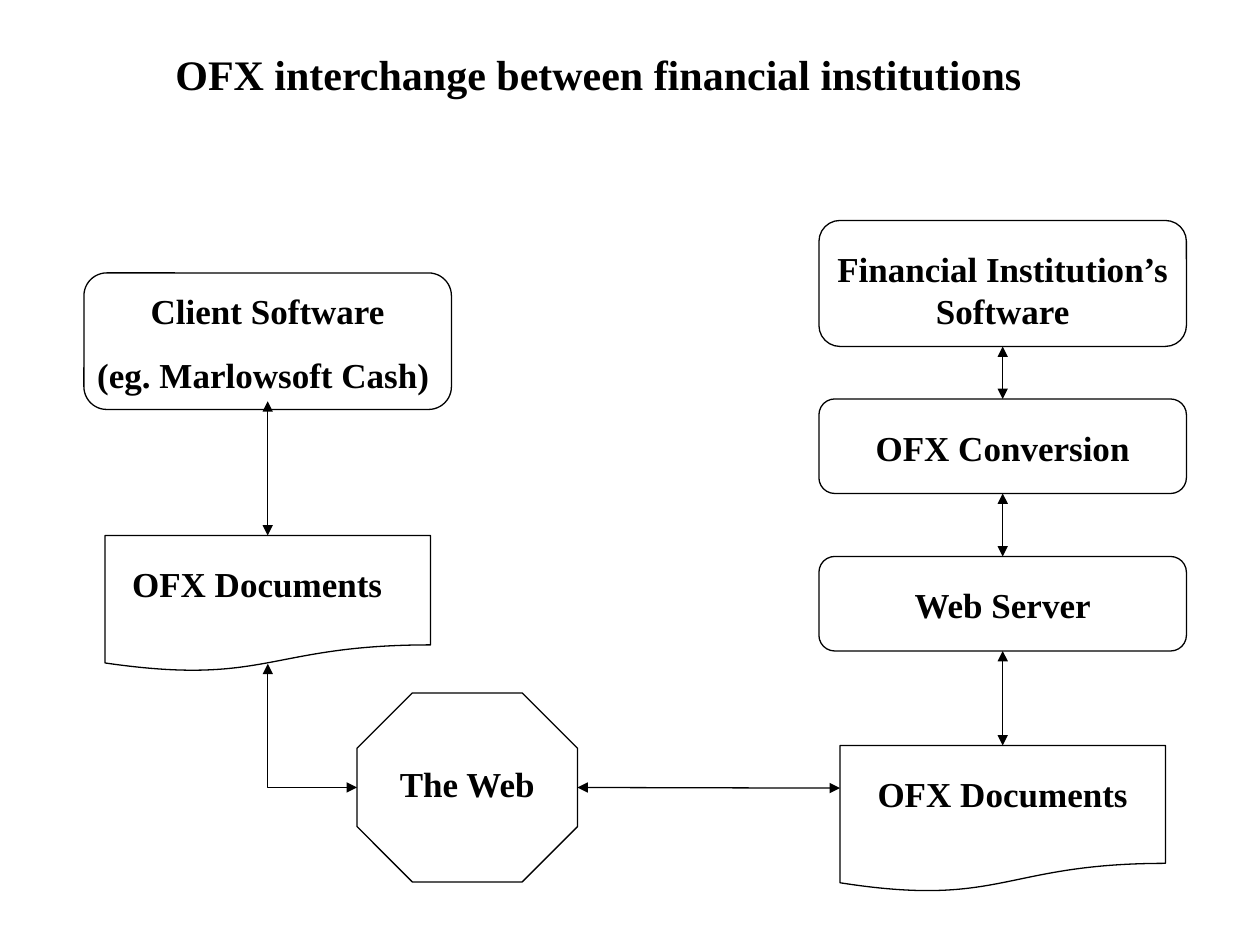
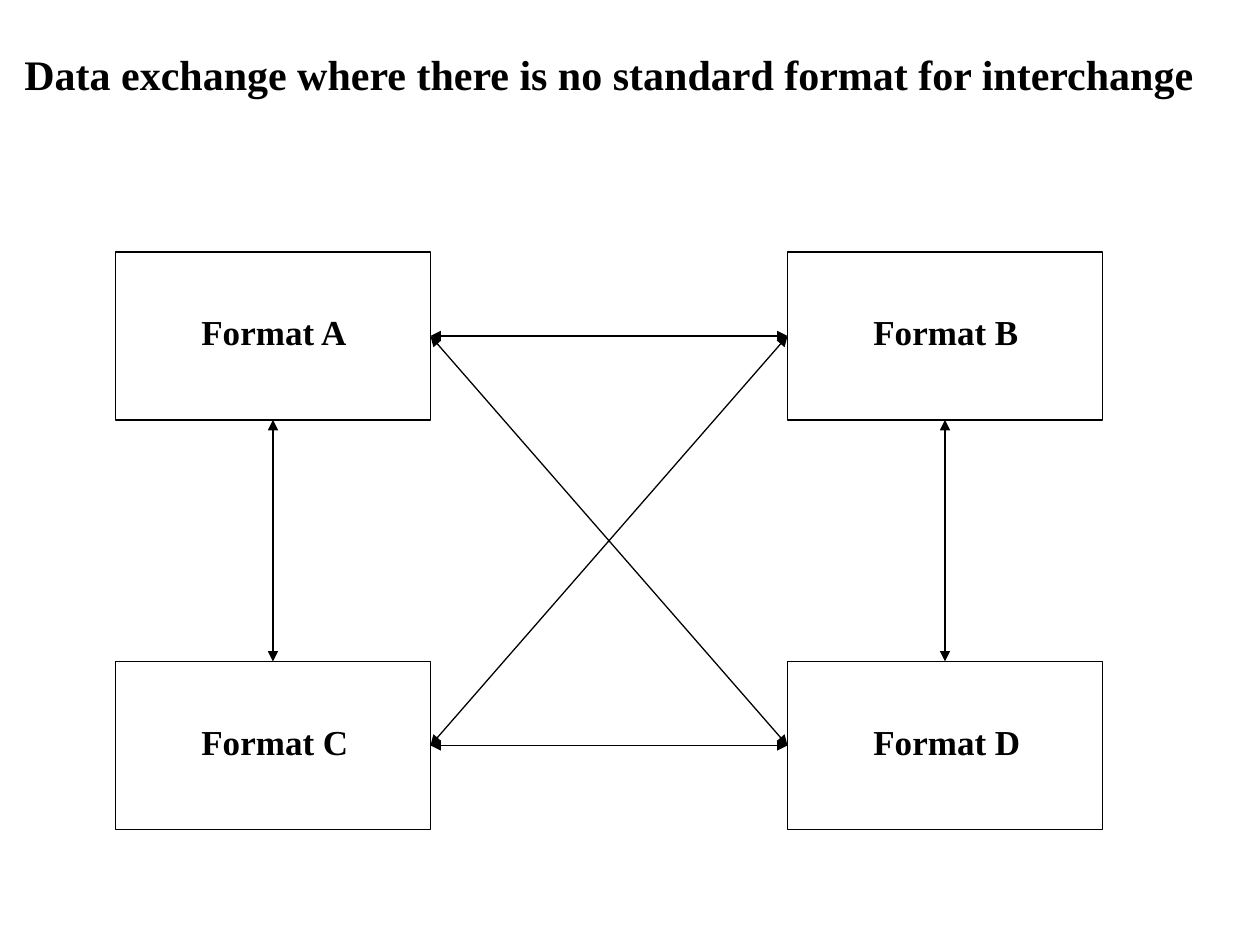
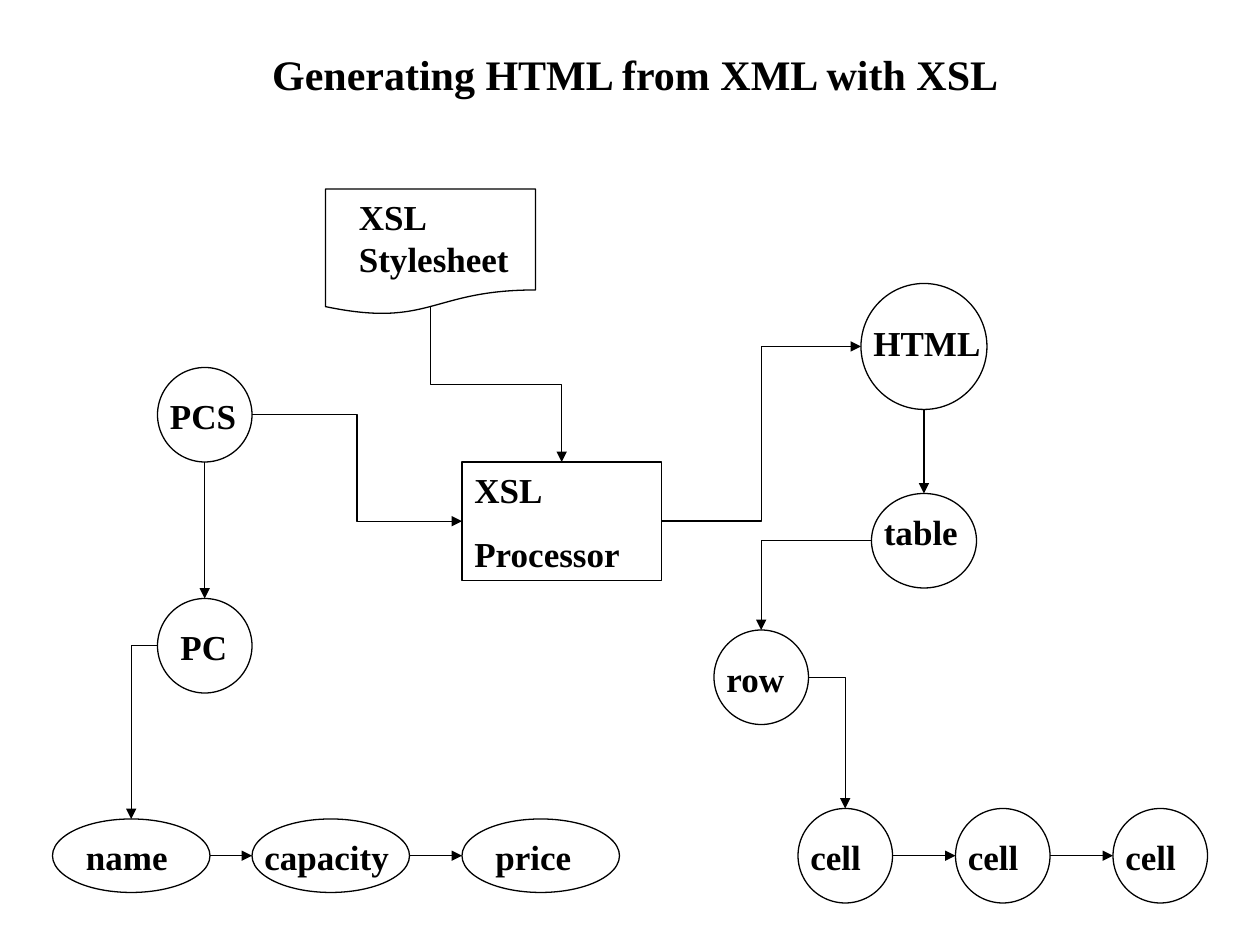
"""Builds three diagram slides on data interchange, laid out on a grid of 120 columns by 90 rows."""
import itertools
from typing import NamedTuple, Optional

import lxml.etree
import pptx
import pptx.dml.color
import pptx.enum.shapes
import pptx.enum.text
import pptx.oxml.ns
import pptx.presentation
import pptx.shapes.connector
import pptx.slide
import pptx.text.text
import pptx.util

qn = pptx.oxml.ns.qn
SHAPES = pptx.enum.shapes.MSO_SHAPE
CONNECTORS = pptx.enum.shapes.MSO_CONNECTOR
ALIGN = pptx.enum.text.PP_ALIGN

BLACK = pptx.dml.color.RGBColor(0x00, 0x00, 0x00)
WHITE = pptx.dml.color.RGBColor(0xFF, 0xFF, 0xFF)
FONT = "Times New Roman"
TITLE_SIZE = 24
LABEL_SIZE = 20
LINE_WIDTH = pptx.util.Pt(0.75)
SLIDE_WIDTH = pptx.util.Inches(10)
SLIDE_HEIGHT = pptx.util.Inches(7.5)
CELL = SLIDE_WIDTH / 120
TITLE_ROW, TITLE_ROWS = 4, 6
ONE_LINE, TWO_LINES, TWO_PARAGRAPHS = 5.28, 9.24, 11.28

Point = tuple[float, float]
TOP: Point = (0.5, 0)
BOTTOM: Point = (0.5, 1)
LEFT: Point = (0, 0.5)
RIGHT: Point = (1, 0.5)
INSET_BOTTOM: Point = (0.5, 0.94)
UPPER_LEFT_SIDE: Point = (0, 0.29)


class Frame(NamedTuple):
    column: float
    row: float
    columns: float
    rows: float = ONE_LINE

    def point(self, share: Point) -> Point:
        return self.column + self.columns * share[0], self.row + self.rows * share[1]

    def lengths(self) -> list[pptx.util.Emu]:
        return [grid(value) for value in self]


class Node(NamedTuple):
    shape: SHAPES
    frame: Frame
    text: str
    label: Optional[Frame] = None


class Link(NamedTuple):
    start: str
    start_side: Point
    end: str
    end_side: Point
    route: str = "line"


def grid(cells: float) -> pptx.util.Emu:
    return pptx.util.Emu(round(cells * CELL))


def write_text(text_frame: pptx.text.text.TextFrame, text: str, size: float, alignment: ALIGN) -> None:
    text_frame.text = text
    text_frame.word_wrap = True
    text_frame.auto_size = pptx.enum.text.MSO_AUTO_SIZE.SHAPE_TO_FIT_TEXT
    text_frame.vertical_anchor = pptx.enum.text.MSO_ANCHOR.TOP
    for paragraph in text_frame.paragraphs:
        paragraph.alignment = alignment
        paragraph.space_before = pptx.util.Pt(size * 0.625)
        paragraph.font.name = FONT
        paragraph.font.size = pptx.util.Pt(size)
        paragraph.font.bold = True
        paragraph.font.color.rgb = BLACK


def add_titled_slide(
    presentation: pptx.presentation.Presentation, title: str, column: float, columns: float
) -> pptx.slide.Slide:
    slide = presentation.slides.add_slide(presentation.slide_layouts.get_by_name("Title Only"))
    placeholder = slide.shapes.title
    frame = Frame(column, TITLE_ROW, columns, TITLE_ROWS)
    placeholder.left, placeholder.top, placeholder.width, placeholder.height = frame.lengths()
    write_text(placeholder.text_frame, title, TITLE_SIZE, ALIGN.CENTER)
    return slide


def draw_node(slide: pptx.slide.Slide, node: Node, alignment: ALIGN) -> None:
    shape = slide.shapes.add_shape(node.shape, *node.frame.lengths())
    shape.shadow.inherit = False
    shape.fill.solid()
    shape.fill.fore_color.rgb = WHITE
    shape.line.color.rgb = BLACK
    shape.line.width = LINE_WIDTH
    holder = slide.shapes.add_textbox(*node.label.lengths()) if node.label else shape
    write_text(holder.text_frame, node.text, LABEL_SIZE, alignment)


def style_connector(connector: pptx.shapes.connector.Connector, both_ends: bool) -> None:
    connector.line.color.rgb = BLACK
    connector.line.width = LINE_WIDTH
    properties = connector.element.spPr
    line = properties.find(qn("a:ln"))
    for tag in ("a:headEnd", "a:tailEnd") if both_ends else ("a:tailEnd",):
        lxml.etree.SubElement(line, qn(tag), type="triangle")
    lxml.etree.SubElement(properties, qn("a:effectLst"))


def draw_link(slide: pptx.slide.Slide, link: Link, nodes: dict[str, Node], both_ends: bool) -> None:
    start_x, start_y = nodes[link.start].frame.point(link.start_side)
    end_x, end_y = nodes[link.end].frame.point(link.end_side)
    if link.route == "vertical":
        middle_x, middle_y = (start_x + end_x) / 2, (start_y + end_y) / 2
        half_width, half_height = (end_y - start_y) / 2, (end_x - start_x) / 2
        start_x, end_x = middle_x + half_width, middle_x - half_width
        start_y, end_y = middle_y - half_height, middle_y + half_height
    kind = CONNECTORS.STRAIGHT if link.route == "line" else CONNECTORS.ELBOW
    connector = slide.shapes.add_connector(kind, *map(grid, (start_x, start_y, end_x, end_y)))
    properties = connector.element.spPr
    if link.route == "vertical":
        properties.find(qn("a:xfrm")).set("rot", str(270 * 60000))
    elif link.route == "corner":
        properties.find(qn("a:prstGeom")).set("prst", "bentConnector2")
    style_connector(connector, both_ends)


def draw_diagram(
    slide: pptx.slide.Slide, nodes: dict[str, Node], links: list[Link], alignment: ALIGN, both_ends: bool
) -> None:
    for node in nodes.values():
        draw_node(slide, node, alignment)
    for link in links:
        draw_link(slide, link, nodes, both_ends)


def add_ofx_slide(presentation: pptx.presentation.Presentation) -> None:
    slide = add_titled_slide(presentation, "OFX interchange between financial institutions", 4, 106)
    rounded, document = SHAPES.ROUNDED_RECTANGLE, SHAPES.FLOWCHART_DOCUMENT
    nodes = {
        "client": Node(rounded, Frame(8, 26, 35, 13), "Client Software\n(eg. Marlowsoft Cash) ",
                       Frame(5, 27, 41, TWO_PARAGRAPHS)),
        "client documents": Node(document, Frame(10, 51, 31, 13), "OFX Documents", Frame(4, 53, 41)),
        "web": Node(SHAPES.OCTAGON, Frame(34, 66, 21, 18), "The Web", Frame(24, 72, 41)),
        "institution": Node(rounded, Frame(78, 21, 35, 12), "Financial Institution’s Software",
                            Frame(75, 23, 41, TWO_LINES)),
        "conversion": Node(rounded, Frame(78, 38, 35, 9), "OFX Conversion", Frame(75, 40, 41)),
        "server": Node(rounded, Frame(78, 53, 35, 9), "Web Server", Frame(75, 55, 41)),
        "server documents": Node(document, Frame(80, 71, 31, 14), "OFX Documents", Frame(75, 73, 41)),
    }
    stack = ["institution", "conversion", "server", "server documents"]
    links = [Link(upper, BOTTOM, lower, TOP) for upper, lower in itertools.pairwise(stack)]
    links += [
        Link("client", INSET_BOTTOM, "client documents", TOP),
        Link("web", RIGHT, "server documents", UPPER_LEFT_SIDE),
        Link("web", LEFT, "client documents", INSET_BOTTOM, "corner"),
    ]
    draw_diagram(slide, nodes, links, ALIGN.CENTER, both_ends=True)


def add_formats_slide(presentation: pptx.presentation.Presentation) -> None:
    title = "Data exchange where there is no standard format for interchange "
    slide = add_titled_slide(presentation, title, 0, 117)
    corners = itertools.product((24, 63), (11, 75))
    nodes = {
        letter: Node(SHAPES.RECTANGLE, Frame(column, row, 30, 16), f"Format {letter}",
                     Frame(column + 7, row + 5, 17))
        for letter, (row, column) in zip("ABCD", corners)
    }
    links = [Link(upper, BOTTOM, lower, TOP) for upper, lower in ("AC", "BD")]
    links += [Link(left, RIGHT, right, LEFT) for left, right in itertools.product("AC", "BD")]
    draw_diagram(slide, nodes, links, ALIGN.LEFT, both_ends=True)


def add_xsl_slide(presentation: pptx.presentation.Presentation) -> None:
    slide = add_titled_slide(presentation, "Generating HTML from XML with XSL", 4, 113)
    oval = SHAPES.OVAL
    nodes = {
        "PCS": Node(oval, Frame(15, 35, 9, 9), "PCS", Frame(15, 37, 9)),
        "PC": Node(oval, Frame(15, 57, 9, 9), "PC", Frame(16, 59, 10)),
        "HTML": Node(oval, Frame(82, 27, 12, 12), "HTML", Frame(82, 30, 13)),
        "table": Node(oval, Frame(83, 47, 10, 9), "table", Frame(83, 48, 12)),
        "row": Node(oval, Frame(68, 60, 9, 9), "row", Frame(68, 62, 9)),
        "name": Node(oval, Frame(5, 78, 15, 7), "name", Frame(7, 79, 12)),
        "capacity": Node(oval, Frame(24, 78, 15, 7), "capacity", Frame(24, 79, 15)),
        "price": Node(oval, Frame(44, 78, 15, 7), "price", Frame(46, 79, 15)),
        "processor": Node(SHAPES.RECTANGLE, Frame(44, 44, 19, TWO_PARAGRAPHS), "XSL\nProcessor"),
        "stylesheet": Node(SHAPES.FLOWCHART_DOCUMENT, Frame(31, 18, 20, 12), "XSL Stylesheet",
                           Frame(33, 18, 17, TWO_LINES)),
    }
    cells = ["cell 1", "cell 2", "cell 3"]
    for index, cell in enumerate(cells):
        column = 76 + 15 * index
        nodes[cell] = Node(oval, Frame(column, 77, 9, 9), "cell", Frame(column, 79, 9))
    chains = (["name", "capacity", "price"], cells)
    links = [Link(left, RIGHT, right, LEFT) for chain in chains for left, right in itertools.pairwise(chain)]
    links += [
        Link("PCS", BOTTOM, "PC", TOP),
        Link("HTML", BOTTOM, "table", TOP),
        Link("PC", LEFT, "name", TOP, "corner"),
        Link("table", LEFT, "row", TOP, "corner"),
        Link("row", RIGHT, "cell 1", TOP, "corner"),
        Link("PCS", RIGHT, "processor", LEFT, "horizontal"),
        Link("processor", RIGHT, "HTML", LEFT, "horizontal"),
        Link("stylesheet", INSET_BOTTOM, "processor", TOP, "vertical"),
    ]
    draw_diagram(slide, nodes, links, ALIGN.LEFT, both_ends=False)


def main() -> None:
    presentation = pptx.Presentation()
    presentation.slide_width, presentation.slide_height = SLIDE_WIDTH, SLIDE_HEIGHT
    add_ofx_slide(presentation)
    add_formats_slide(presentation)
    add_xsl_slide(presentation)
    presentation.save("out.pptx")


if __name__ == "__main__":
    main()
